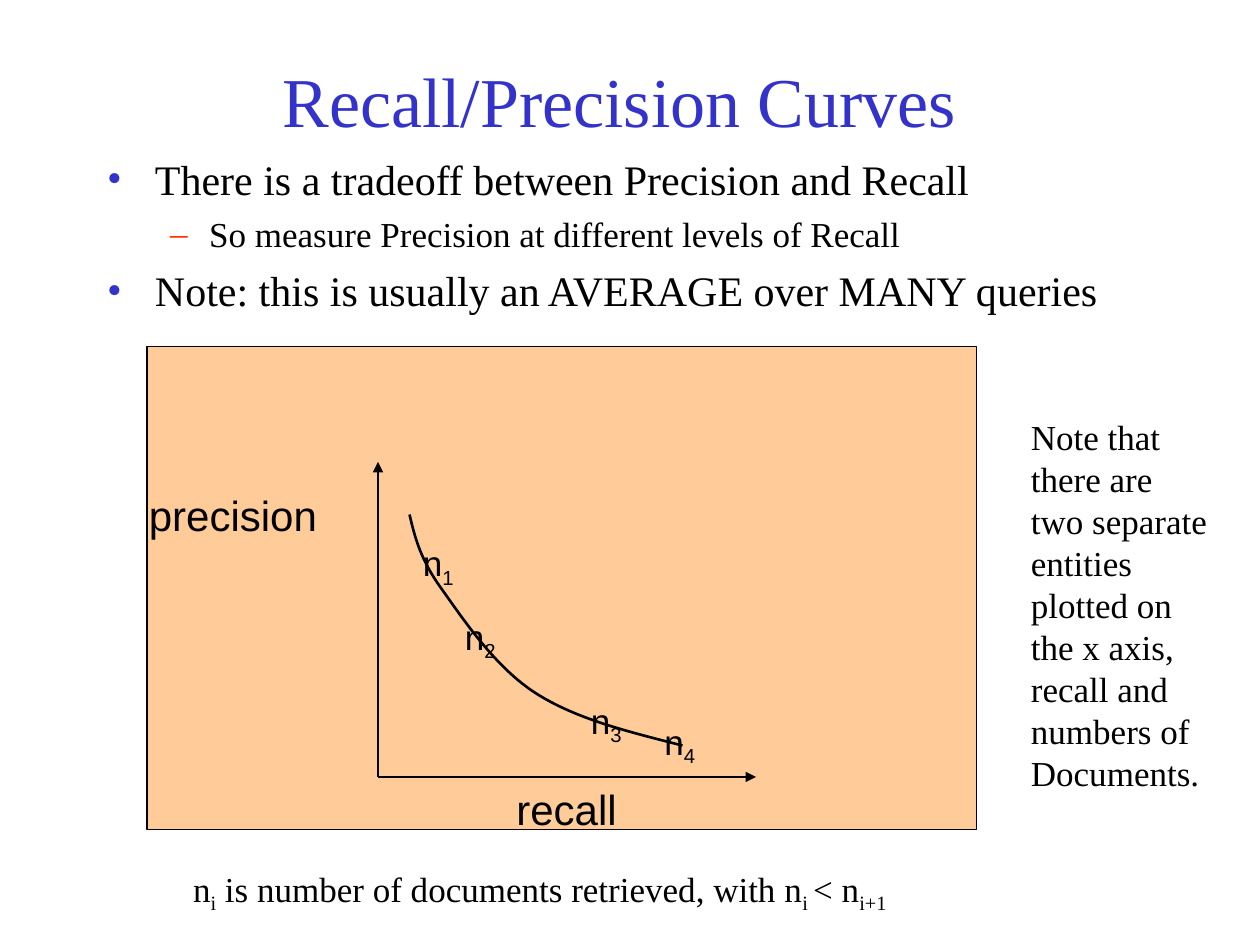
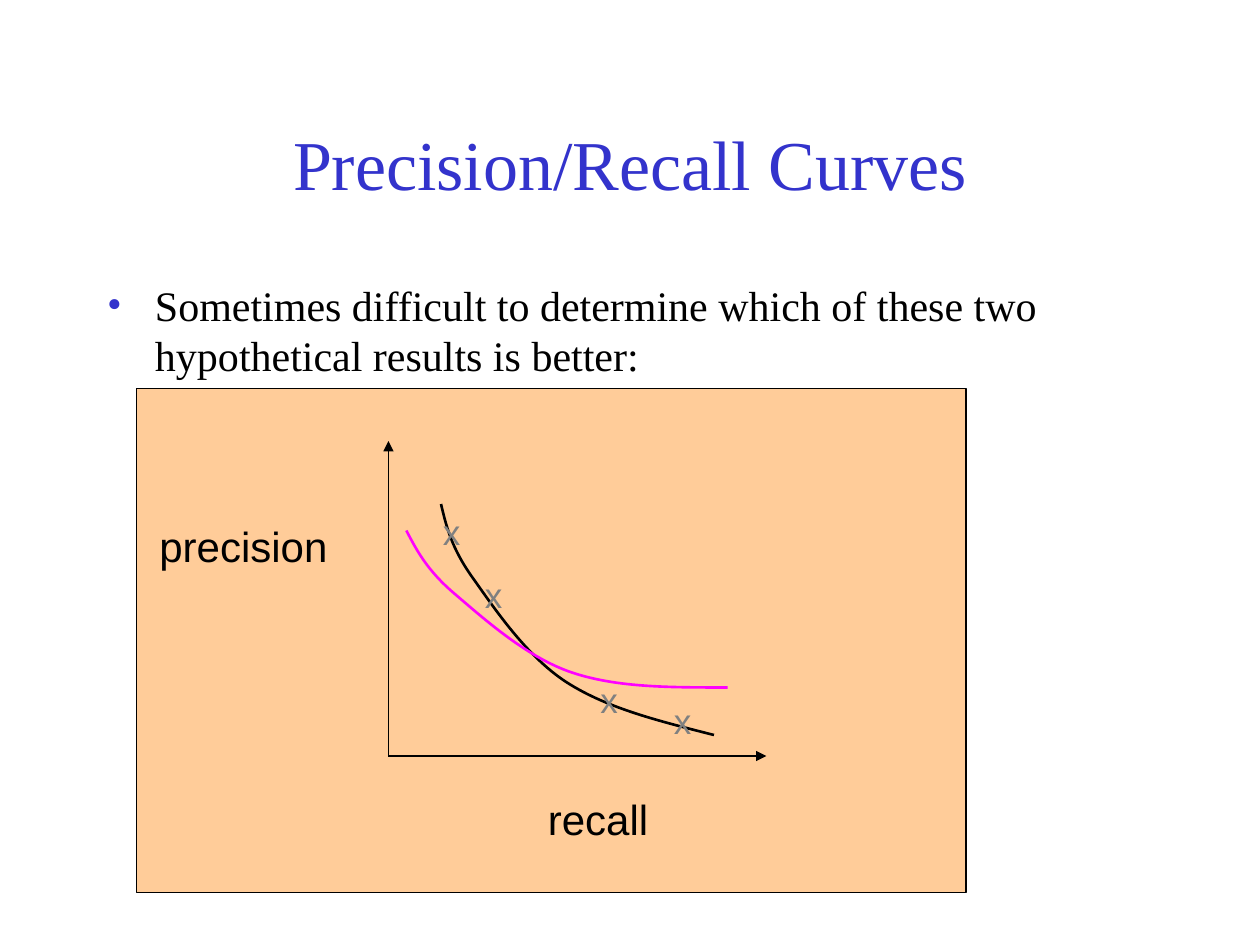
from lxml import etree
from pptx import Presentation
from pptx.dml.color import RGBColor
from pptx.enum.shapes import MSO_CONNECTOR as Connector, MSO_SHAPE as Preset
from pptx.enum.text import MSO_ANCHOR as Anchor, MSO_AUTO_SIZE as AutoSize, PP_ALIGN as Align
from pptx.oxml.ns import qn
from pptx.util import Emu, Inches, Pt

COLUMNS, ROWS = 120, 90
CELL = Inches(10) // COLUMNS
TENTH = CELL // 10

BLUE = RGBColor(0x33, 0x33, 0xCC)
RED = RGBColor(0xFF, 0x33, 0x00)
PEACH = RGBColor(0xFF, 0xCC, 0x99)
BLACK = RGBColor(0x00, 0x00, 0x00)
GRAY = RGBColor(0x80, 0x80, 0x80)
MAGENTA = RGBColor(0xFF, 0x00, 0xFF)
SERIF, SANS = "Times New Roman", "Arial"

LEVELS = [
    {"bullet": "•", "color": BLUE, "size": 24, "before": 6, "indent": (0.38, -0.38)},
    {"bullet": "–", "color": RED, "size": 20, "before": 5, "indent": (0.81, -0.31)},
]
AXIS_HEIGHT, AXIS_WIDTH = 30, 36
CURVE_TENTHS = [(0, 0), (5, 21), (10, 42), (30, 70), (50, 98), (81, 145),
                (120, 170), (159, 195), (209, 207), (260, 220)]


def cells(*values):
    """Turn grid units into lengths."""
    return [Emu(round(value * CELL)) for value in values]


def set_font(paragraph, name, size, color):
    """Give a whole paragraph one font."""
    font = paragraph.font
    font.name, font.size = name, Pt(size)
    font.color.rgb = color


def place(shape, box):
    """Move a shape to a box of grid units."""
    shape.left, shape.top, shape.width, shape.height = cells(*box)


def add_title(slide, text, box):
    """Fill and place the title placeholder."""
    title = slide.shapes.title
    place(title, box)
    frame = title.text_frame
    frame.text = text
    frame.vertical_anchor = Anchor.MIDDLE
    frame.auto_size = AutoSize.NONE
    paragraph = frame.paragraphs[0]
    paragraph.alignment = Align.CENTER
    set_font(paragraph, SERIF, 40, BLUE)


def add_bullet(paragraph, style):
    """Set a coloured bullet with a hanging indent."""
    properties = paragraph._p.get_or_add_pPr()
    left, hanging = style["indent"]
    properties.set("marL", str(Inches(left)))
    properties.set("indent", str(Inches(hanging)))
    color = etree.SubElement(properties, qn("a:buClr"))
    etree.SubElement(color, qn("a:srgbClr"), val=str(style["color"]))
    etree.SubElement(properties, qn("a:buFont"), typeface=SERIF)
    etree.SubElement(properties, qn("a:buChar"), char=style["bullet"])


def add_body(slide, items, box):
    """Fill the body placeholder with (level, text) items."""
    body = slide.placeholders[1]
    place(body, box)
    frame = body.text_frame
    frame.auto_size = AutoSize.NONE
    frame.vertical_anchor = Anchor.TOP
    for index, (level, text) in enumerate(items):
        paragraph = frame.add_paragraph() if index else frame.paragraphs[0]
        style = LEVELS[level]
        paragraph.text, paragraph.level = text, level
        paragraph.space_before = Pt(style["before"] if index else 0)
        add_bullet(paragraph, style)
        set_font(paragraph, SERIF, style["size"], BLACK)


def add_label(shapes, lines, box, name=SANS, size=20, color=BLACK, wrap=False):
    """Add text lines, each a list alternating plain and subscript pieces."""
    frame = shapes.add_textbox(*cells(*box)).text_frame
    frame.word_wrap = wrap
    frame.auto_size = AutoSize.SHAPE_TO_FIT_TEXT
    for index, pieces in enumerate(lines):
        paragraph = frame.add_paragraph() if index else frame.paragraphs[0]
        for position, piece in enumerate(pieces):
            run = paragraph.add_run()
            run.text = piece
            if position % 2:
                run._r.get_or_add_rPr().set("baseline", "-25000")
        set_font(paragraph, name, size, color)


def add_panel(shapes, box):
    """Draw the outlined background of a figure."""
    panel = shapes.add_shape(Preset.RECTANGLE, *cells(*box))
    panel.shadow.inherit = False
    panel.fill.solid()
    panel.fill.fore_color.rgb = PEACH
    panel.line.color.rgb = BLACK
    panel.line.width = Pt(1)


def add_axis(shapes, start, end):
    """Draw an axis with an arrowhead at its end."""
    axis = shapes.add_connector(Connector.STRAIGHT, *cells(*start, *end))
    axis.line.color.rgb = BLACK
    axis.line.width = Pt(1)
    etree.SubElement(axis.line._get_or_add_ln(), qn("a:tailEnd"), type="triangle")
    etree.SubElement(axis._element.spPr, qn("a:effectLst"))


def add_curve(shapes, left, top, color=BLACK, rotation=0):
    """Draw the falling tradeoff curve from Bézier segments."""
    builder = shapes.build_freeform(*CURVE_TENTHS[0], scale=TENTH)
    builder.add_line_segments(CURVE_TENTHS[1:], close=False)
    curve = builder.convert_to_shape(*cells(left, top))
    lines = list(curve._element.iter(qn("a:lnTo")))
    for first in range(0, len(lines), 3):
        segment = etree.SubElement(lines[first].getparent(), qn("a:cubicBezTo"))
        for line in lines[first:first + 3]:
            segment.append(line[0])
            line.getparent().remove(line)
    curve.shadow.inherit = False
    curve.fill.background()
    curve.line.color.rgb = color
    curve.line.width = Pt(1.5)
    curve.rotation = rotation


def add_figure(shapes, panel, origin, curves, precision, recall, marks, mark_size, mark_color):
    """Draw a precision/recall plot; parts are offsets from the axis origin."""
    left, top, _, _ = panel
    x, y = left + origin[0], top + origin[1]
    add_panel(shapes, panel)
    add_axis(shapes, (x, y), (x, y - AXIS_HEIGHT))
    add_axis(shapes, (x, y), (x + AXIS_WIDTH, y))
    for across, down, color, rotation in curves:
        add_curve(shapes, x + across, y + down, color, rotation)
    for text, (across, down), width in (("precision", precision, 18.5), ("recall", recall, 12.2)):
        add_label(shapes, [[text]], (x + across, y + down, width, 6), size=24)
    for pieces, across, down in marks:
        add_label(shapes, [pieces], (x + across, y + down, *mark_size), color=mark_color)


def build_tradeoff_slide(slide):
    """Show one curve with document counts along it."""
    add_title(slide, "Recall/Precision Curves", (8, 2, 102, 15))
    add_body(slide, [
        (0, "There is a tradeoff between Precision and Recall"),
        (1, "So measure Precision at different levels of Recall"),
        (0, "Note: this is usually an AVERAGE over MANY queries"),
    ], (9, 14, 102, 54))
    offsets = [(3.1, -23), (7.1, -16), (19.1, -8), (26.1, -6)]
    marks = [(["n", str(number)], *offset) for number, offset in enumerate(offsets, 1)]
    add_figure(slide.shapes.add_group_shape().shapes, (14, 33, 79, 46), (22, 41),
               [(3, -25, BLACK, 0)], (-23, -28), (12, 0), marks, (5.3, 5.8), BLACK)
    note = ["Note that", "there are", "two separate",
            "entities plotted on the x axis, recall and numbers of", "Documents."]
    add_label(slide.shapes, [[line] for line in note], (97, 39, 19.2, 37.2), SERIF, wrap=True)
    caption = ["n", "i", " is number of documents retrieved, with n", "i ", "< n", "i+1"]
    add_label(slide.shapes, [caption], (17.2, 82, 69.2, 5.8), SERIF)


def build_comparison_slide(slide):
    """Show two crossing curves that are hard to rank."""
    add_title(slide, "Precision/Recall Curves", (9, 8, 102, 15))
    add_body(slide, [
        (0, "Sometimes difficult to determine which of these two hypothetical results is better:"),
    ], (9, 26, 102, 54))
    offsets = [(4, -24), (8, -18), (19, -8), (26, -6)]
    marks = [(["x"], *offset) for offset in offsets]
    add_figure(slide.shapes, (13, 37, 79, 48), (24, 35),
               [(5, -24, BLACK, 0), (4, -25, MAGENTA, -14.2)],
               (-23, -23), (14, 3), marks, (4.1, 5.3), GRAY)


def main():
    """Build and save the presentation."""
    presentation = Presentation()
    presentation.slide_width, presentation.slide_height = cells(COLUMNS, ROWS)
    layout = presentation.slide_layouts[1]
    for build in (build_tradeoff_slide, build_comparison_slide):
        build(presentation.slides.add_slide(layout))
    presentation.save("out.pptx")


if __name__ == "__main__":
    main()
